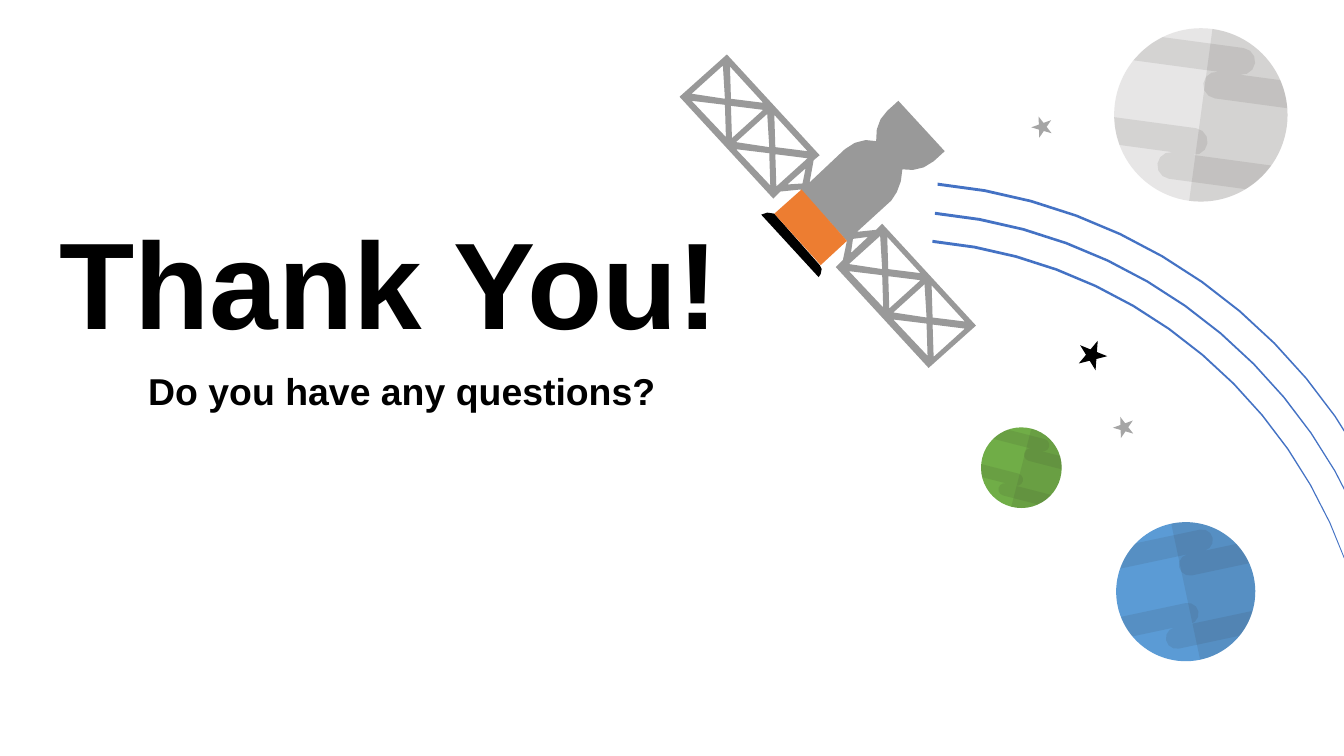
import math

from lxml import etree
from pptx import Presentation
from pptx import util as u
from pptx.dml.color import RGBColor
from pptx.enum import shapes, text
from pptx.oxml.ns import qn

COLORS = {
    "ink": "000000",
    "metal": "999999",
    "orange": "ED7D31",
    "trail": "4472C4",
    "moon": "E7E6E6",
    "sea": "5B9BD5",
    "leaf": "70AD47",
    "shade": "302C27",
    "star": "A5A5A5",
}

NOSE = [(0.81, 1.59), (1.38, 2.21), (1.4, 2.18), (1.41, 2.13), (1.39, 2.09),
        (0.94, 1.58), (0.87, 1.57)]
COLLAR = [(0.94, 1.58), (1.4, 2.09), (1.66, 1.85), (1.21, 1.34)]
BODY = [(0, 0.42), (0.93, 1.43), (1, 1.36), (1.2, 1.34), (1.66, 1.85), (1.62, 2.04),
        (1.55, 2.11), (2.47, 3.11), (2.94, 2.69), (2.01, 1.68), (1.95, 1.74),
        (1.76, 1.76), (2.1, 1.45), (2.16, 1.38, 2.21, 1.26, 2.21, 1.14),
        (2.31, 1.16, 2.43, 1.14, 2.52, 1.06), (2.63, 0.96), (2.17, 0.46), (2.06, 0.56),
        (1.98, 0.63, 1.94, 0.74, 1.95, 0.86), (1.85, 0.83, 1.73, 0.86, 1.64, 0.94),
        (1.29, 1.27), (1.33, 1.05), (1.39, 1), (0.47, 0)]
MOUNT_HOLES = [[(1.07, 1.29), (1.25, 1.13), (1.22, 1.28)],
               [(1.72, 1.83), (1.87, 1.81), (1.7, 1.97)]]
PANEL_HOLES = [[(0.12, 0.39), (0.43, 0.11), (0.45, 0.44)],
               [(0.12, 0.46), (0.45, 0.5), (0.46, 0.82)],
               [(0.5, 0.12), (0.83, 0.48), (0.51, 0.44)],
               [(0.51, 0.51), (0.83, 0.55), (0.52, 0.83)]]
PANEL_STEP = (0.44, 0.48)
WING_STEP = (1.56, 1.69)


def paint(shape, color, opacity=None):
    shape.shadow.inherit = False
    shape.fill.solid()
    shape.fill.fore_color.rgb = RGBColor.from_string(COLORS[color])
    shape.line.fill.background()
    if opacity:
        tint = shape.fill._xPr.find(".//" + qn("a:srgbClr"))
        etree.SubElement(tint, qn("a:alpha")).set("val", str(opacity * 1000))


def add_preset(parent, kind, left, top, width, height, turn, color, opacity=None):
    shape = parent.add_shape(kind, *map(u.Inches, (left, top, width, height)))
    shape.rotation = turn
    paint(shape, color, opacity)
    return shape


def add_outline(parent, contours, color, opacity=None):
    rings = [[(u.Inches(x), u.Inches(y)) for x, y in ring] for ring in contours]
    builder = parent.build_freeform(*rings[0][0], scale=1.0)
    builder.add_line_segments(rings[0][1:])
    for ring in rings[1:]:
        builder.move_to(*ring[0])
        builder.add_line_segments(ring[1:])
    paint(builder.convert_to_shape(), color, opacity)


def arc(x, y, radius, start, end, steps):
    angles = [math.radians(start + (end - start) * i / steps) for i in range(steps + 1)]
    return [(x + radius * math.cos(a), y + radius * math.sin(a)) for a in angles]


def flatten(outline, steps=3):
    points = []
    for item in outline:
        if len(item) == 2:
            points.append(item)
            continue
        corners = [points[-1], item[:2], item[2:4], item[4:]]
        for i in range(1, steps + 1):
            t = i / steps
            weights = [(1 - t) ** 3, 3 * t * (1 - t) ** 2, 3 * t * t * (1 - t), t ** 3]
            points.append(tuple(sum(w * c[k] for w, c in zip(weights, corners)) for k in (0, 1)))
    return points


def shift(points, left, top):
    return [(x + left, y + top) for x, y in points]


def add_satellite(page, left, top):
    group = page.shapes.add_group_shape().shapes
    holes = MOUNT_HOLES + [
        shift(hole, wing * WING_STEP[0] + panel * PANEL_STEP[0],
              wing * WING_STEP[1] + panel * PANEL_STEP[1])
        for wing in range(2) for panel in range(2) for hole in PANEL_HOLES]
    for color, contours in (("ink", [NOSE]), ("metal", [BODY] + holes), ("orange", [COLLAR])):
        add_outline(group, [shift(flatten(ring), left, top) for ring in contours], color)


def cloud_band(top, middle, bottom, upper_end, lower_end):
    slopes = [math.degrees(math.asin(y)) for y in (top, middle, bottom)]
    upper, lower = (middle - top) / 2, (bottom - middle) / 2
    return (arc(upper_end - upper, top + upper, upper, -90, 90, 6)
            + arc(0, 0, 1, slopes[1], slopes[2], 3)
            + arc(lower_end + lower, middle + lower, lower, 90, 270, 6)
            + arc(0, 0, 1, 180 - slopes[1], 180 - slopes[0], 3))


def add_planet(page, left, top, size, turn, color):
    group = page.shapes.add_group_shape().shapes
    radius = size / 2
    cos, sin = math.cos(math.radians(turn)), math.sin(math.radians(turn))
    add_preset(group, shapes.MSO_SHAPE.OVAL, left, top, size, size, turn, color)
    night = add_preset(group, shapes.MSO_SHAPE.CHORD, left, top, size, size, turn, "shade", 10)
    night.adjustments[0], night.adjustments[1] = 162, 54
    south = cloud_band(0.16, 0.47, 0.78, 0.12, -0.42)
    north = cloud_band(-0.83, -0.52, -0.21, 0.54, -0.02)
    for band in (south, north):
        turned = [(radius * (x * cos - y * sin), radius * (x * sin + y * cos)) for x, y in band]
        add_outline(group, [shift(turned, left + radius, top + radius)], "shade", 10)


def add_trail(page, x, y, radius, turn=5.2, width=0.03, steps=18):
    inner = arc(x, y, radius, turn - 90, turn, steps)
    outer = []
    for i, (px, py) in enumerate(inner):
        grow = 1 + width * (1 - i / steps) / radius
        outer.append((x + (px - x) * grow, y + (py - y) * grow))
    add_outline(page.shapes, [inner + outer[::-1]], "trail")


def add_star(page, left, top, width, height, turn, color):
    add_preset(page.shapes, shapes.MSO_SHAPE.STAR_5_POINT, left, top, width, height, turn, color)


def add_text(page, left, top, width, height, words, size, anchor):
    box = page.shapes.add_textbox(*map(u.Inches, (left, top, width, height)))
    frame = box.text_frame
    frame.word_wrap = True
    frame.vertical_anchor = anchor
    frame.margin_left = frame.margin_right = u.Inches(0.13)
    frame.margin_top = frame.margin_bottom = u.Inches(0.13)
    para = frame.paragraphs[0]
    para.text = words
    para.line_spacing = 0.9
    for span in para.runs:
        span.font.name = "Arial"
        span.font.size = u.Pt(size)
        span.font.bold = True
        span.font.color.rgb = RGBColor.from_string(COLORS["ink"])


def add_closing_page(deck):
    page = deck.slides.add_slide(deck.slide_layouts[6])
    add_text(page, 0.46, 2.08, 7, 2.71, "Thank You!", 88, text.MSO_ANCHOR.TOP)
    add_text(page, 1.34, 2.74, 5.9, 2.33, "Do you have any questions?", 26.7,
             text.MSO_ANCHOR.MIDDLE)
    add_satellite(page, 6.74, 0.54)
    for radius in (4.82, 5.1, 5.39):
        add_trail(page, 8.81, 7.21, radius)
    add_planet(page, 11.05, 0.28, 1.72, 7.7, "moon")
    add_planet(page, 11.07, 5.18, 1.38, -12, "sea")
    add_planet(page, 9.73, 4.24, 0.8, 14.4, "leaf")
    add_star(page, 10.23, 1.15, 0.21, 0.2, 340.1, "star")
    add_star(page, 10.69, 3.37, 0.29, 0.28, 22, "ink")
    add_star(page, 11.04, 4.13, 0.21, 0.2, 340.1, "star")


def main():
    deck = Presentation()
    deck.slide_width, deck.slide_height = u.Inches(13.33), u.Inches(7.5)
    add_closing_page(deck)
    deck.save("out.pptx")


if __name__ == "__main__":
    main()
